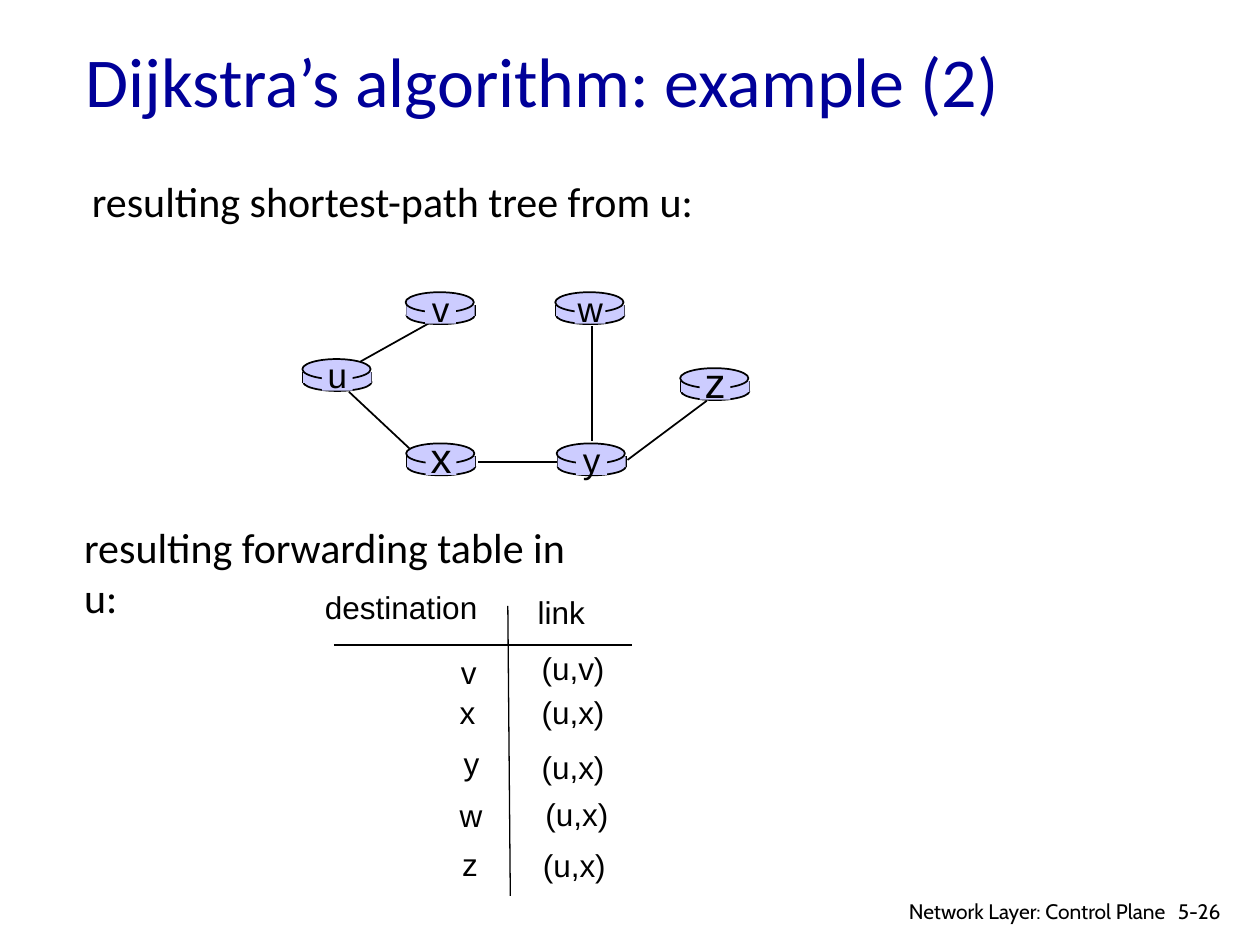
"""Build a slide with a shortest-path tree and its forwarding table."""
from lxml.etree import SubElement
from pptx import Presentation
from pptx.dml.color import RGBColor
from pptx.enum.shapes import MSO_CONNECTOR, MSO_SHAPE
from pptx.enum.text import MSO_ANCHOR, MSO_AUTO_SIZE, PP_ALIGN
from pptx.oxml.ns import qn
from pptx.util import Pt

NODES = {
    "u": (173.3, 205.2, 20),
    "v": (232.3, 167, 20),
    "w": (317.8, 167, 20),
    "x": (232.6, 253.4, 24),
    "y": (318.6, 253.4, 20),
    "z": (389.2, 210.4, 24),
}
EDGES = [
    (206, 206.6, 248.4, 182.9),
    (338.4, 186.5, 338.4, 252),
    (358.6, 262.8, 403.9, 229),
    (319, 264.2, 272.9, 264.2),
    (234, 256.3, 199.4, 223.9),
]
DESTINATIONS = [
    ("destination", 178.6, 332.6, 101.5),
    ("v", 256.3, 369.4, 23.8),
    ("x", 255.6, 392.4, 23.8),
    ("y", 257.8, 421.9, 23.8),
    ("w", 255.6, 451.4, 27.4),
    ("z", 257, 479.5, 23.8),
]
LINKS = [
    ("link", 300.2, 335.5, 41.8),
    ("(u,v)", 302.4, 367.2, 50.4),
    ("(u,x)", 302.4, 392.4, 50.4),
    ("(u,x)", 302.4, 424.1, 50.4),
    ("(u,x)", 304.6, 450.7, 50.4),
    ("(u,x)", 303.1, 480.2, 50.4),
]


def color(value):
    return RGBColor.from_string(value)


def write(tf, text, size=18, font="Arial", ink="000000", align=PP_ALIGN.LEFT,
          wrap=False, anchor=MSO_ANCHOR.TOP):
    tf.word_wrap = wrap
    tf.auto_size = MSO_AUTO_SIZE.NONE
    tf.vertical_anchor = anchor
    p = tf.paragraphs[0]
    p.alignment = align
    r = p.add_run()
    r.text = text
    r.font.size = Pt(size)
    r.font.name = font
    r.font.color.rgb = color(ink)


class Deck:
    ink = "000000"
    router = "CCCCFF"
    width = 39

    def __init__(self, slide):
        self.s = slide

    def title(self, text, x, y, w, h):
        sp = self.s.shapes.title
        sp.left, sp.top, sp.width, sp.height = Pt(x), Pt(y), Pt(w), Pt(h)
        write(sp.text_frame, text, size=40, font="Calibri", ink="000099",
              wrap=True, anchor=MSO_ANCHOR.MIDDLE)

    def text(self, text, x, y, w, h, **style):
        sp = self.s.shapes.add_textbox(Pt(x), Pt(y), Pt(w), Pt(h))
        write(sp.text_frame, text, **style)

    def line(self, x1, y1, x2, y2, weight=1):
        sp = self.s.shapes.add_connector(
            MSO_CONNECTOR.STRAIGHT, Pt(x1), Pt(y1), Pt(x2), Pt(y2))
        sp.line.color.rgb = color(self.ink)
        sp.line.width = Pt(weight)
        SubElement(sp._element.spPr, qn("a:effectLst"))

    def shape(self, kind, x, y, w, h, outlined=False):
        sp = self.s.shapes.add_shape(kind, Pt(x), Pt(y), Pt(w), Pt(h))
        sp.shadow.inherit = False
        sp.fill.solid()
        sp.fill.fore_color.rgb = color(self.router)
        if outlined:
            sp.line.color.rgb = color(self.ink)
            sp.line.width = Pt(1)
        else:
            sp.line.fill.background()

    def node(self, name, x, y, size):
        w = self.width
        self.shape(MSO_SHAPE.OVAL, x, y + 8.2, w, 10, outlined=True)
        for side in (x, x + w):
            self.line(side, y + 7.4, side, y + 13.6)
        self.shape(MSO_SHAPE.RECTANGLE, x, y + 7.4, w, 6.2)
        self.shape(MSO_SHAPE.OVAL, x - 0.5, y, w, 11.5, outlined=True)
        self.shape(MSO_SHAPE.RECTANGLE, x + 10.6, y + 1.4, 17.6, 16.6)
        self.text(name, x + 6.5, y + 13.5 - size, 26, 1.3 * size + 5,
                  size=size, align=PP_ALIGN.CENTER)


def main():
    prs = Presentation()
    prs.slide_width, prs.slide_height = Pt(720), Pt(540)
    deck = Deck(prs.slides.add_slide(prs.slide_layouts[5]))
    deck.title("Dijkstra’s algorithm: example (2)", 41.8, 12.2, 612, 67)

    deck.text("resulting shortest-path tree from u:", 45.4, 96.5, 360, 36,
              size=24, font="Calibri")
    for edge in EDGES:
        deck.line(*edge)
    for name, place in NODES.items():
        deck.node(name, *place)

    deck.text("resulting forwarding table in u:", 41, 294.5, 311, 36,
              size=24, font="Calibri", wrap=True)
    deck.line(290.2, 346.3, 291.6, 511.9, weight=0.75)
    deck.line(190.8, 368.6, 361.4, 368.6, weight=0.75)
    for text, x, y, w in DESTINATIONS + LINKS:
        deck.text(text, x, y, w, 28.8)

    deck.text("5-26", 666, 509.8, 43.2, 21.6, size=12, font="Cabin", wrap=True)
    deck.text("Network Layer: Control Plane", 501.8, 509.8, 171.4, 18.7,
              size=12, font="Cabin", align=PP_ALIGN.RIGHT, wrap=True)
    prs.save("out.pptx")


if __name__ == "__main__":
    main()
